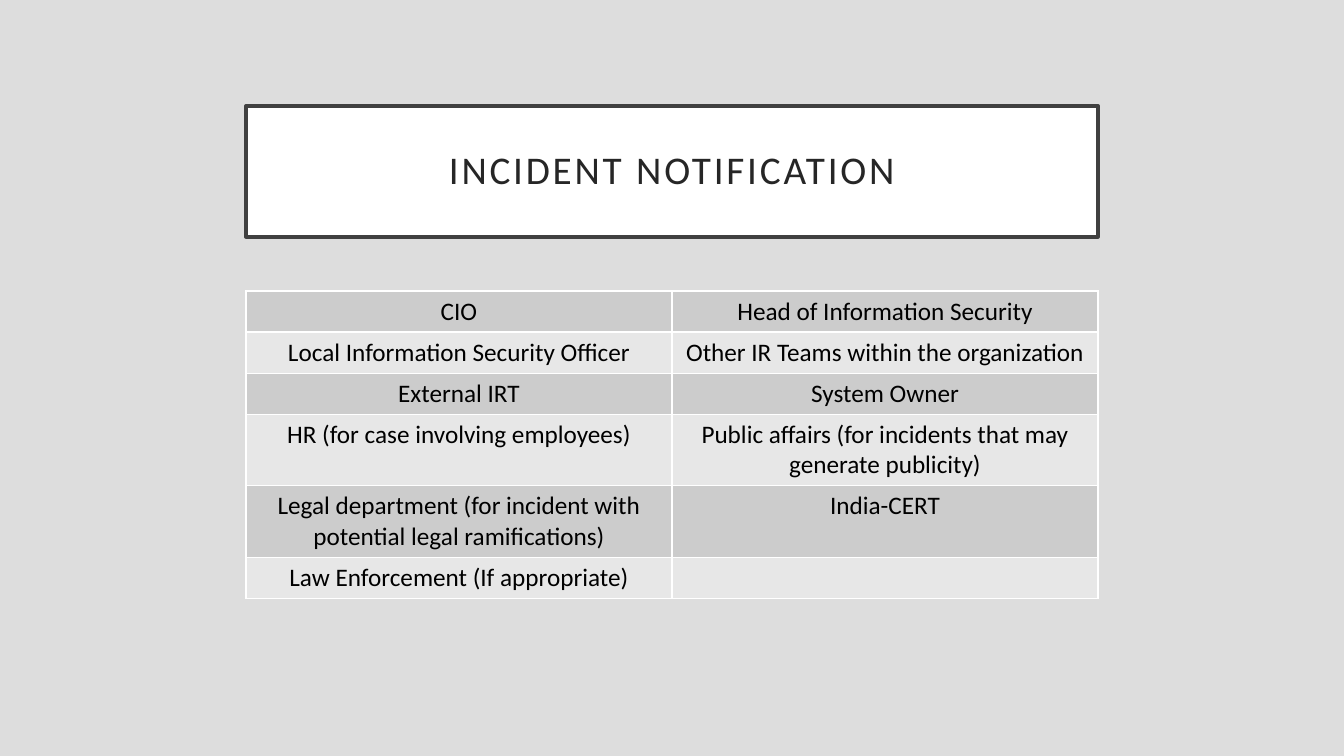
from dataclasses import dataclass

from lxml import etree
from pptx import Presentation
from pptx import util as u
from pptx.dml.color import RGBColor
from pptx.enum import shapes, text
from pptx.oxml import ns


@dataclass(frozen=True)
class Theme:
    font: str = "Calibri"
    back: str = "DDDDDD"
    panel: str = "FFFFFF"
    frame: str = "404040"
    head: str = "262626"
    ink: str = "000000"
    rule: str = "FFFFFF"
    bands: tuple = ("CCCCCC", "E7E7E7")
    head_size: int = 28
    cell_size: int = 18


class Board:
    """A slide on a grid of 100 columns by 100 rows."""

    def __init__(self, deck, theme):
        self.theme = theme
        self.col = deck.slide_width / 100
        self.row = deck.slide_height / 100
        self.slide = deck.slides.add_slide(deck.slide_layouts[6])
        self.paint(self.slide.background.fill, theme.back)

    def paint(self, fill, color):
        fill.solid()
        fill.fore_color.rgb = RGBColor.from_string(color)

    def place(self, left, top, width, height):
        return (round(left * self.col), round(top * self.row),
                round(width * self.col), round(height * self.row))

    def label(self, frame, words, size, color):
        frame.text = words
        para = frame.paragraphs[0]
        para.alignment = text.PP_ALIGN.CENTER
        for run in para.runs:
            run.font.name = self.theme.font
            run.font.size = u.Pt(size)
            run.font.color.rgb = RGBColor.from_string(color)
        return para

    def title(self, words, *area):
        box = self.slide.shapes.add_shape(
            shapes.MSO_SHAPE.RECTANGLE, *self.place(*area))
        box.shadow.inherit = False
        self.paint(box.fill, self.theme.panel)
        self.paint(box.line.fill, self.theme.frame)
        box.line.width = u.Pt(2.5)
        frame = box.text_frame
        frame.word_wrap = True
        frame.vertical_anchor = text.MSO_ANCHOR.MIDDLE
        frame.margin_left = frame.margin_right = u.Inches(0.2)
        frame.margin_top = frame.margin_bottom = u.Inches(0.2)
        para = self.label(frame, words, self.theme.head_size, self.theme.head)
        para.line_spacing = 0.9
        para.runs[0]._r.get_or_add_rPr().set("spc", "200")

    def border(self, cell):
        props = cell._tc.get_or_add_tcPr()
        for side in ("a:lnL", "a:lnR", "a:lnT", "a:lnB"):
            line = etree.SubElement(props, ns.qn(side), w=str(u.Pt(1)))
            fill = etree.SubElement(line, ns.qn("a:solidFill"))
            etree.SubElement(fill, ns.qn("a:srgbClr"), val=self.theme.rule)

    def table(self, rows, left, top, width, step):
        area = self.place(left, top, width, step * len(rows))
        grid = self.slide.shapes.add_table(len(rows), len(rows[0]), *area).table
        grid.first_row = grid.horz_banding = False
        for r, row in enumerate(rows):
            for c, words in enumerate(row):
                cell = grid.cell(r, c)
                self.label(cell.text_frame, words,
                           self.theme.cell_size, self.theme.ink)
                self.border(cell)
                self.paint(cell.fill, self.theme.bands[r % 2])


CONTACTS = [
    ("CIO", "Head of Information Security"),
    ("Local Information Security Officer",
     "Other IR Teams within the organization"),
    ("External IRT", "System Owner"),
    ("HR (for case involving employees)",
     "Public affairs (for incidents that may generate publicity)"),
    ("Legal department (for incident with potential legal ramifications)",
     "India-CERT"),
    ("Law Enforcement (If appropriate)", ""),
]


def main():
    deck = Presentation()
    deck.slide_width, deck.slide_height = u.Inches(13.33), u.Inches(7.5)
    board = Board(deck, Theme())
    left, width = 18.3, 63.4
    board.title("INCIDENT NOTIFICATION", left, 14, width, 17.33)
    board.table(CONTACTS, left, 38.5, width, 5.43)
    deck.save("out.pptx")


if __name__ == "__main__":
    main()
